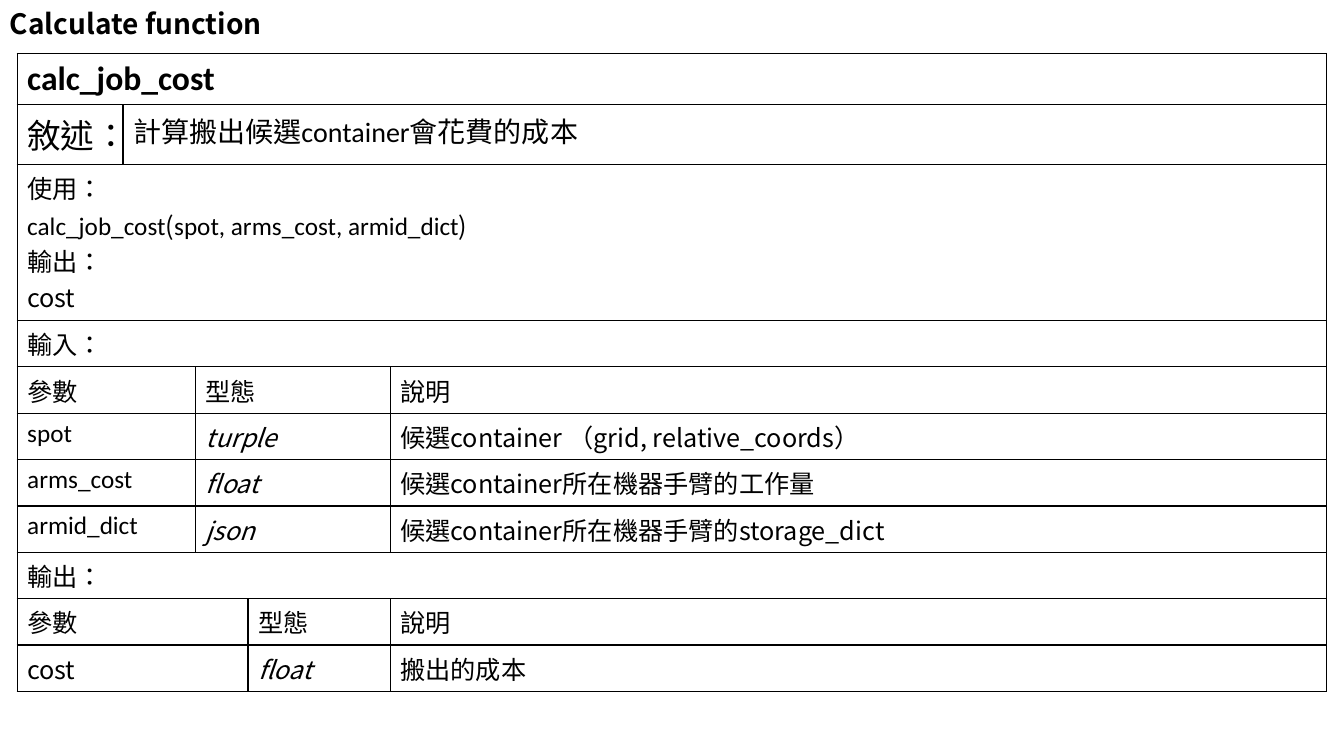
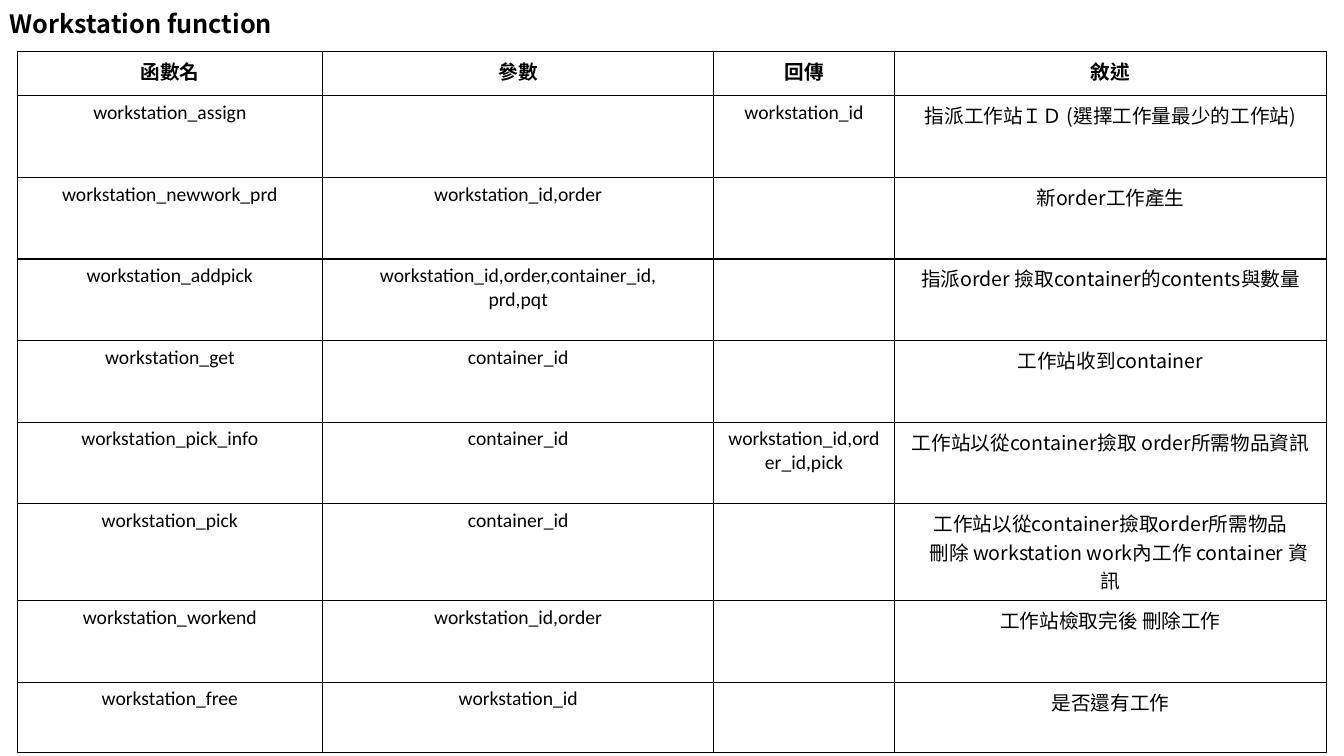
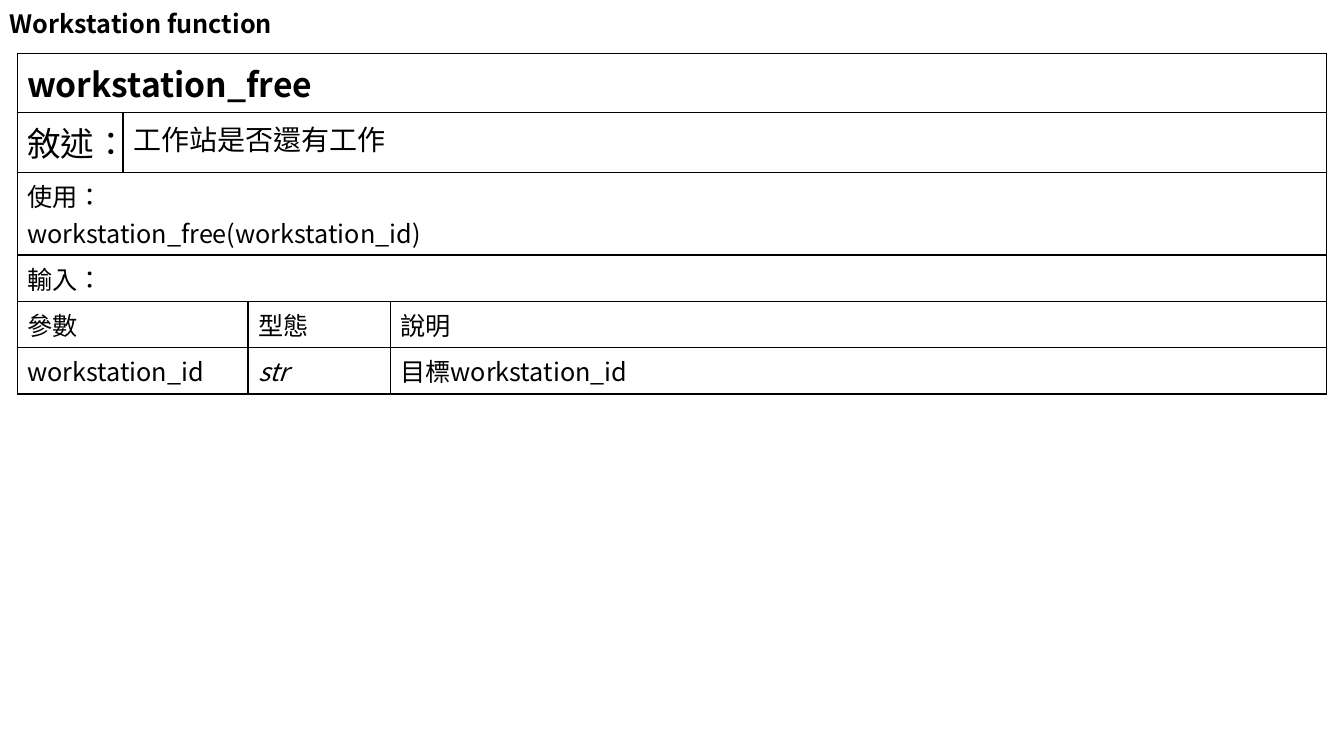
from dataclasses import dataclass

from lxml import etree
from pptx import Presentation
from pptx.dml.color import RGBColor
from pptx.enum.text import MSO_ANCHOR, PP_ALIGN
from pptx.oxml.ns import qn
from pptx.util import Inches, Pt

LEFT, CENTER = PP_ALIGN.LEFT, PP_ALIGN.CENTER
MIDDLE = MSO_ANCHOR.MIDDLE


@dataclass(frozen=True)
class Theme:
    ink: str = "000000"
    paper: str = "FFFFFF"
    latin: str = "Calibri"
    cjk: str = "Noto Sans CJK TC"
    language: str = "zh-TW"
    heading: int = 24
    summary: int = 20
    body: int = 18
    listing: int = 14
    border: float = 1


THEME = Theme()
SLIDE_WIDTH, SLIDE_HEIGHT = 13.33, 7.5
TABLE_LEFT = 0.17
TABLE_WIDTH = SLIDE_WIDTH - 2 * TABLE_LEFT
LABEL, NAME, KIND_START, NOTE_START = 1.05, 1.77, 2.29, 3.7
ROW, HEADING_ROW, SUMMARY_ROW = 0.46, 0.51, 0.59
FUNCTION_ROW, PICK_ROW, FREE_ROW = 0.81, 0.96, 0.7


def write_text(frame, lines, size=THEME.body, font=THEME.cjk, bold=False,
               italic=False, align=LEFT, spacing=None, last_indent=0):
    lines = [lines] if isinstance(lines, str) else lines
    for index, line in enumerate(lines):
        paragraph = frame.paragraphs[0] if index == 0 else frame.add_paragraph()
        paragraph.alignment = align
        if spacing:
            paragraph.line_spacing = spacing
        if last_indent and index == len(lines) - 1:
            properties = paragraph._p.get_or_add_pPr()
            properties.set("marL", "0")
            properties.set("indent", str(Inches(last_indent)))
        for text, typeface in [(line, font)] if isinstance(line, str) else line:
            run = paragraph.add_run()
            run.text = text
            run.font.size = Pt(size)
            run.font.bold = bold
            run.font.italic = italic
            run.font.color.rgb = RGBColor.from_string(THEME.ink)
            run.font.name = typeface
            run.font._element.set("lang", THEME.language)
            east_asian = etree.SubElement(run.font._element, qn("a:ea"))
            east_asian.set("typeface", THEME.cjk)


def add_grid(slide, top, edges, heights, rows):
    edges = [0, *edges, TABLE_WIDTH]
    table = slide.shapes.add_table(
        len(rows), len(edges) - 1, Inches(TABLE_LEFT), Inches(top),
        Inches(TABLE_WIDTH), Inches(sum(heights))).table
    table.first_row = False
    table.horz_banding = False
    for column, start, end in zip(table.columns, edges, edges[1:]):
        column.width = Inches(end - start)
    for row, height in zip(table.rows, heights):
        row.height = Inches(height)
    for cell in table.iter_cells():
        properties = cell._tc.get_or_add_tcPr()
        for side in ("a:lnL", "a:lnR", "a:lnT", "a:lnB"):
            line = etree.SubElement(properties, qn(side), w=str(Pt(THEME.border)))
            fill = etree.SubElement(line, qn("a:solidFill"))
            etree.SubElement(fill, qn("a:srgbClr"), val=THEME.ink)
        cell.fill.solid()
        cell.fill.fore_color.rgb = RGBColor.from_string(THEME.paper)
    for row_index, row in enumerate(rows):
        column_index = 0
        for span, lines, style in row:
            cell = table.cell(row_index, column_index)
            if span > 1:
                cell.merge(table.cell(row_index, column_index + span - 1))
            if lines:
                write_text(cell.text_frame, lines, **style)
            column_index += span


plain = {}
latin = {"font": THEME.latin}
kind = {"italic": True}
label = {"size": THEME.heading}
summary = {"size": THEME.summary}
heading = {"size": THEME.heading, "bold": True}
function_cell = {"size": THEME.listing, "font": THEME.latin, "align": CENTER}
header_cell = {**function_cell, "bold": True}
note_cell = {**function_cell, "font": THEME.cjk}

cost_call = [
    ("calc_job_cost", THEME.latin), ("(", THEME.cjk),
    ("spot, arms_cost, armid_dict", THEME.latin), (")", THEME.cjk)]
cost_inputs = [
    ("spot", "turple", "候選container （grid, relative_coords）"),
    ("arms_cost", "float", "候選container所在機器手臂的工作量"),
    ("armid_dict", "json", "候選container所在機器手臂的storage_dict")]
cost_rows = [
    [(5, "calc_job_cost", {**heading, **latin})],
    [(1, "敘述：", label),
     (4, "計算搬出候選container會花費的成本", {**summary, **latin})],
    [(5, ["使用：", cost_call, "輸出：", "cost"], plain)],
    [(5, "輸入：", plain)],
    [(2, "參數", plain), (2, "型態", plain), (1, "說明", plain)],
    *[[(2, name, latin), (2, type_name, kind), (1, note, plain)]
      for name, type_name, note in cost_inputs],
    [(5, "輸出：", plain)],
    [(3, "參數", plain), (1, "型態", plain), (1, "說明", plain)],
    [(3, "cost", plain), (1, "float", kind), (1, "搬出的成本", plain)]]

functions = [
    ("workstation_assign", "", "workstation_id",
     "指派工作站ＩＤ (選擇工作量最少的工作站)"),
    ("workstation_newwork_prd", "workstation_id,order", "", "新order工作產生"),
    ("workstation_addpick", ["workstation_id,order,container_id,", "prd,pqt"], "",
     "指派order 撿取container的contents與數量"),
    ("workstation_get", "container_id", "", "工作站收到container"),
    ("workstation_pick_info", "container_id", "workstation_id,order_id,pick",
     "工作站以從container撿取 order所需物品資訊"),
    ("workstation_pick", "container_id", "",
     ["工作站以從container撿取order所需物品",
      "刪除 workstation work內工作 container 資訊"]),
    ("workstation_workend", "workstation_id,order", "", "工作站檢取完後 刪除工作"),
    ("workstation_free", "workstation_id", "", "是否還有工作")]
function_rows = [[(1, text, header_cell) for text in ("函數名", "參數", "回傳", "敘述")]]
for *fields, note in functions:
    indent = 0 if isinstance(note, str) else 0.16
    function_rows.append([
        *[(1, text, function_cell) for text in fields],
        (1, note, {**note_cell, "last_indent": indent})])

free_rows = [
    [(4, "workstation_free", heading)],
    [(1, "敘述：", label), (3, "工作站是否還有工作", summary)],
    [(4, ["使用：", "workstation_free(workstation_id)"], plain)],
    [(4, "輸入：", plain)],
    [(2, "參數", plain), (1, "型態", plain), (1, "說明", plain)],
    [(2, "workstation_id", plain), (1, "str", kind), (1, "目標workstation_id", plain)]]

pages = [
    ("Calculate function", 20, 3.3, 0.53, [LABEL, NAME, KIND_START, NOTE_START],
     [HEADING_ROW, SUMMARY_ROW, 1.55] + [ROW] * 8, cost_rows),
    ("Workstation function", 18, 2.82, 0.51, [3.03, 6.91, 8.7],
     [0.44] + [FUNCTION_ROW] * 5 + [PICK_ROW, FUNCTION_ROW, FREE_ROW], function_rows),
    ("Workstation function", 18, 2.82, 0.53, [LABEL, KIND_START, NOTE_START],
     [SUMMARY_ROW, SUMMARY_ROW, 0.82] + [ROW] * 3, free_rows)]

presentation = Presentation()
presentation.slide_width = Inches(SLIDE_WIDTH)
presentation.slide_height = Inches(SLIDE_HEIGHT)
for title, title_size, title_width, table_top, edges, heights, rows in pages:
    slide = presentation.slides.add_slide(presentation.slide_layouts[6])
    title_box = slide.shapes.add_textbox(
        0, Inches(0.02), Inches(title_width), Inches(0.47))
    title_box.text_frame.word_wrap = True
    title_box.text_frame.vertical_anchor = MIDDLE
    write_text(title_box.text_frame, title, size=title_size, bold=True, spacing=0.9)
    add_grid(slide, table_top, edges, heights, rows)

presentation.save("out.pptx")
